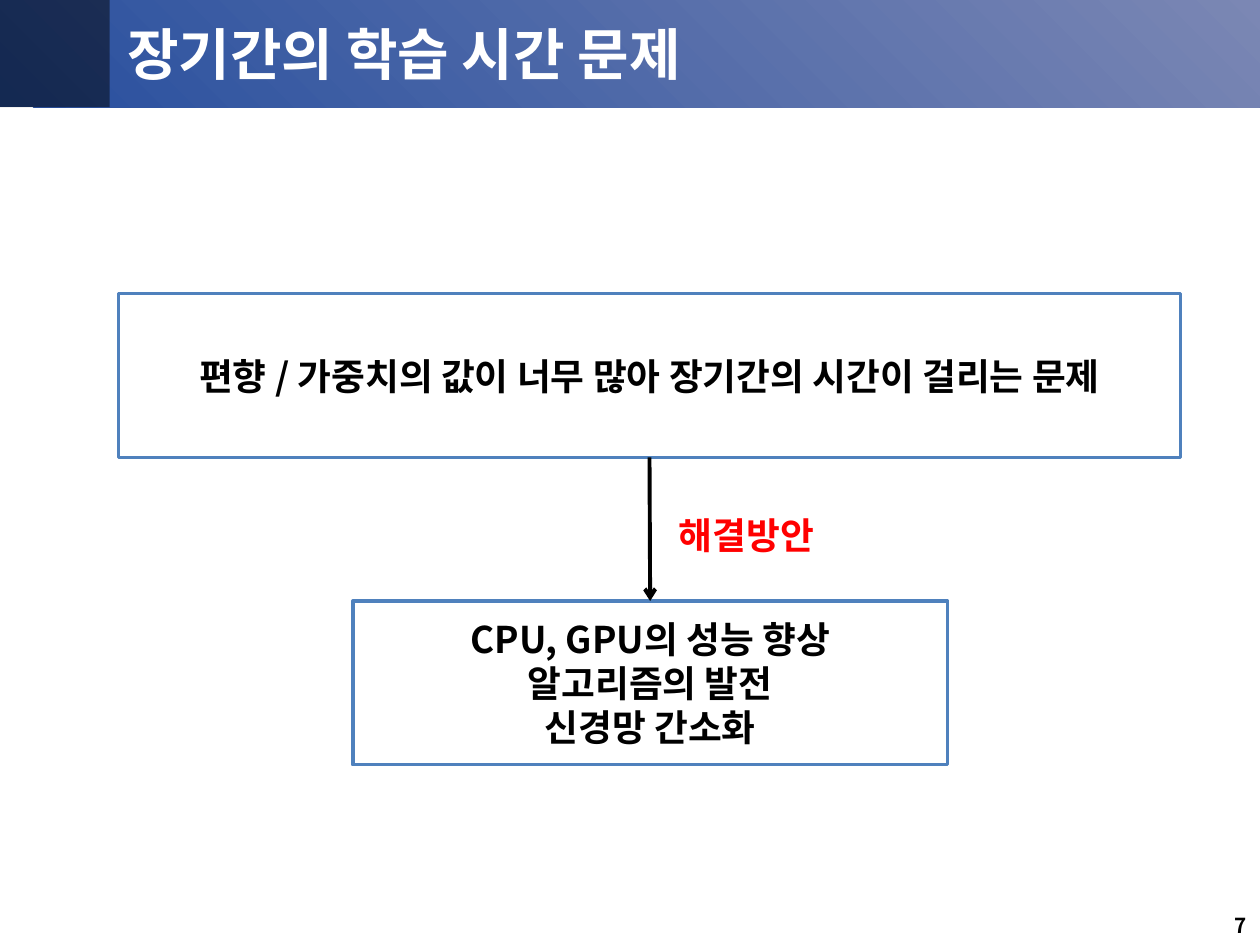
"""Build the slide on the long training time problem."""
from pptx import Presentation
from pptx.dml.color import RGBColor
from pptx.enum.shapes import MSO_CONNECTOR, MSO_SHAPE
from pptx.enum.text import MSO_ANCHOR, PP_ALIGN
from pptx.oxml.ns import qn
from pptx.util import Inches, Pt
from lxml import etree

RECT = MSO_SHAPE.RECTANGLE
LINE = MSO_CONNECTOR.STRAIGHT
MID = MSO_ANCHOR.MIDDLE
LEFT, MIDDLE, RIGHT = PP_ALIGN.LEFT, PP_ALIGN.CENTER, PP_ALIGN.RIGHT
FONT = "Noto Sans CJK KR"
BLACK = RGBColor(0, 0, 0)
WHITE = RGBColor(255, 255, 255)
RED = RGBColor(255, 0, 0)
BLUE = RGBColor(0x4F, 0x81, 0xBD)
NAVY = RGBColor(0x28, 0x4F, 0x9E)
GREY = RGBColor(0x7B, 0x87, 0xB4)


def write(shape, lines, size, color, align):
    frame = shape.text_frame
    frame.word_wrap = True
    frame.vertical_anchor = MID
    for i, line in enumerate(lines):
        para = frame.add_paragraph() if i else frame.paragraphs[0]
        para.alignment = align
        run = para.add_run()
        run.text = line
        font = run.font
        font.name, font.size, font.bold = FONT, Pt(size), True
        font.color.rgb = color
        etree.SubElement(font._element, qn("a:ea")).set("typeface", FONT)


def block(left, top, width, height):
    shape = slide.shapes.add_shape(
        RECT, Inches(left), Inches(top), Inches(width), Inches(height))
    shape.shadow.inherit = False
    shape.line.fill.background()
    return shape


deck = Presentation()
deck.slide_width, deck.slide_height = Inches(10), Inches(7.5)
slide = deck.slides.add_slide(deck.slide_layouts[5])

band = block(0, -0.01, 10, 0.86)
band.fill.gradient()
band.fill.gradient_angle = 45
for stop, color, place in zip(band.fill.gradient_stops, (NAVY, GREY), (0, 1)):
    stop.color.rgb = color
    stop.position = place

shade = block(0, -0.01, 0.87, 0.86)
shade.fill.solid()
shade.fill.fore_color.rgb = BLACK
tone = shade.fill._xPr.find(qn("a:solidFill"))[0]
etree.SubElement(tone, qn("a:alpha")).set("val", "48000")

title = slide.shapes.title
title.left, title.top = Inches(0.91), Inches(0.14)
title.width, title.height = Inches(8.83), Inches(0.56)
write(title, ["장기간의 학습 시간 문제"], 32, WHITE, LEFT)
slide.shapes._spTree.append(title._element)

page = slide.shapes.add_textbox(
    Inches(7.66), Inches(7.21), Inches(2.33), Inches(0.29))
write(page, ["7"], 11.8, BLACK, RIGHT)
page.text_frame.paragraphs[0].line_spacing = 0.9

boxes = [
    (0.94, 2.33, 8.43, ["편향 / 가중치의 값이 너무 많아 장기간의 시간이 걸리는 문제"]),
    (2.8, 4.77, 4.72, ["CPU, GPU의 성능 향상", "알고리즘의 발전", "신경망 간소화"]),
]
ends = []
for left, top, width, lines in boxes:
    box = block(left, top, width, 1.3)
    box.fill.solid()
    box.fill.fore_color.rgb = WHITE
    box.line.color.rgb = BLUE
    box.line.width = Pt(2)
    write(box, lines, 21, BLACK, MIDDLE)
    ends.append(box)

arrow = slide.shapes.add_connector(LINE, 0, 0, 0, 0)
arrow.begin_connect(ends[0], 2)
arrow.end_connect(ends[1], 0)
arrow.line.color.rgb = BLACK
arrow.line.width = Pt(2.25)
etree.SubElement(arrow.line._get_or_add_ln(), qn("a:tailEnd")).set("type", "arrow")
etree.SubElement(arrow._element.spPr, qn("a:effectLst"))

label = slide.shapes.add_textbox(
    Inches(4.45), Inches(3.87), Inches(2.95), Inches(0.75))
write(label, ["해결방안"], 21, RED, MIDDLE)

deck.save("out.pptx")
